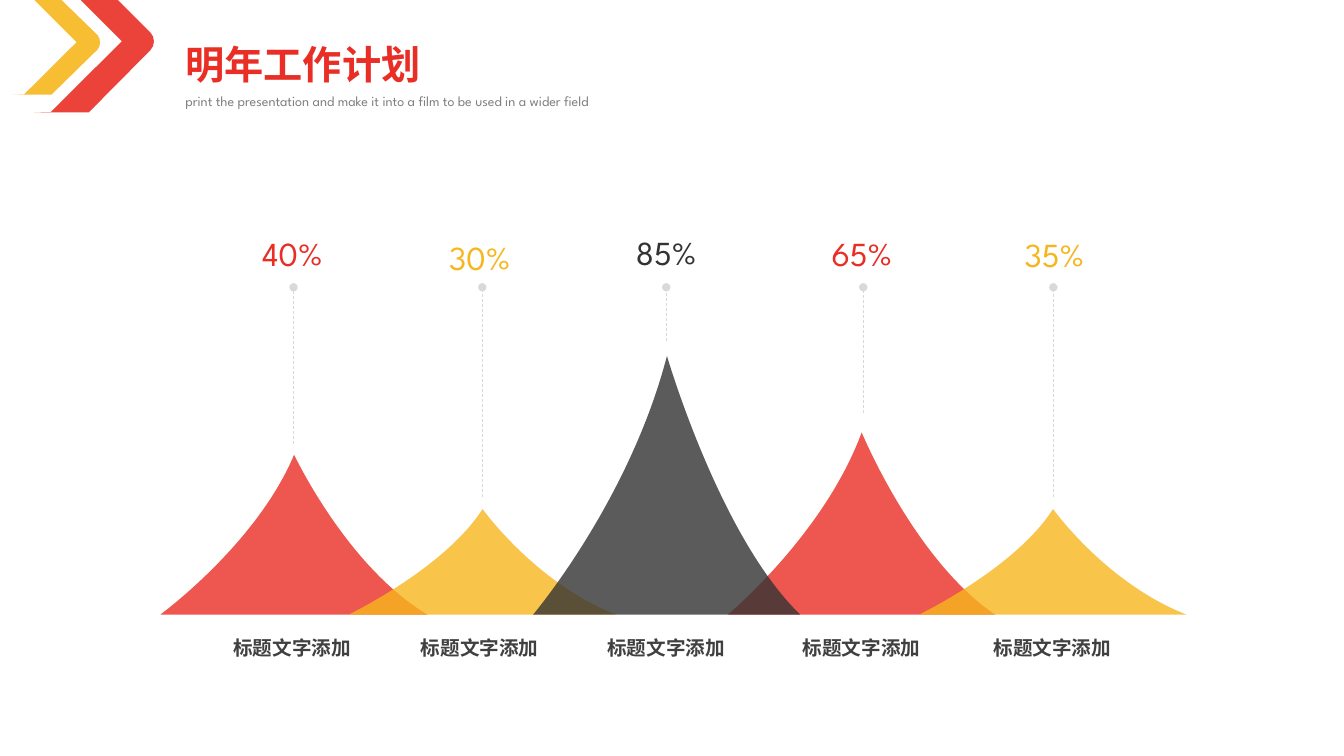
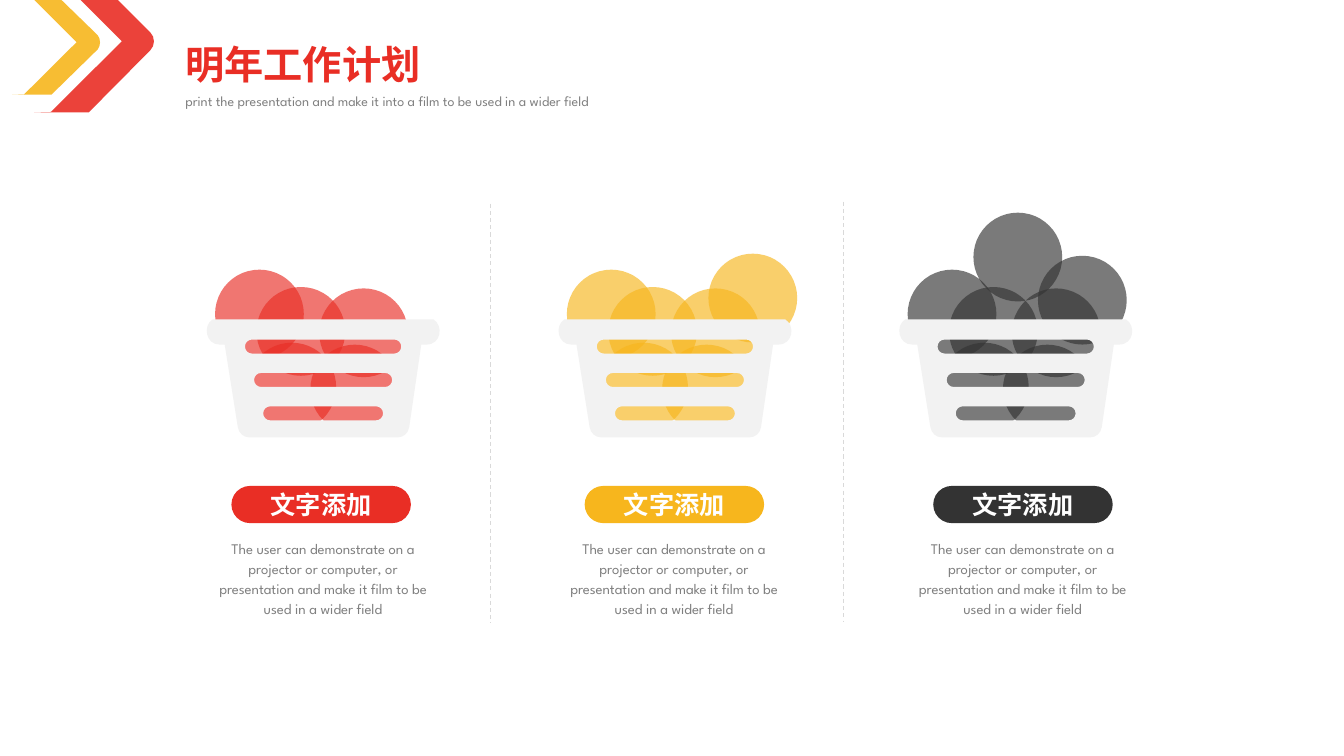
from dataclasses import dataclass

from lxml import etree
from pptx import Presentation
from pptx.dml.color import RGBColor
from pptx.enum.dml import MSO_LINE
from pptx.enum.shapes import MSO_CONNECTOR, MSO_SHAPE
from pptx.enum.text import MSO_ANCHOR, MSO_AUTO_SIZE, PP_ALIGN
from pptx.oxml.ns import qn
from pptx.util import Pt

DASH = MSO_LINE.DASH
LINE = MSO_CONNECTOR.STRAIGHT
OVAL, PILL = MSO_SHAPE.OVAL, MSO_SHAPE.ROUNDED_RECTANGLE
TOP, MID = MSO_ANCHOR.TOP, MSO_ANCHOR.MIDDLE
LEFT, MIDDLE = PP_ALIGN.LEFT, PP_ALIGN.CENTER
FIXED = MSO_AUTO_SIZE.NONE

FONT = "League Spartan"
INK = {
    "red": "E92E25", "gold": "F7B61D", "dark": "333333", "text": "404040",
    "gray": "808080", "rule": "D9D9D9", "pale": "F2F2F2", "white": "FFFFFF",
}
Point = tuple[float, float]
Box = tuple[float, float, float, float]
# A ring is a list of steps: (x, y) is a corner,
# (x1, y1, x2, y2, x, y) a cubic curve to x, y
Ring = list[tuple[float, ...]]


@dataclass
class Peak:
    ink: str
    left: float
    top: float
    rate: str
    rate_at: Point
    stem: Point  # x and lower end
    label: float


@dataclass
class Crate:
    ink: str
    left: float
    pill: float
    note: float
    more: list[Point]


# Slide 1: mountain peaks, back to front
BASE, SPAN, STEM_TOP = 439, 190.8, 205.2
PEAKS = [
    Peak("red", 114.5, 324.8, "40%", (171.4, 170.2), (209.7, 316.8), 136.1),
    Peak("gold", 249.1, 363.6, "30%", (305.3, 173.2), (344.5, 355), 270),
    Peak("red", 519.9, 308.9, "65%", (578.2, 170.2), (616.6, 295.2), 542.8),
    Peak("dark", 380.8, 254.2, "85%", (438.4, 169.9), (475.9, 243.4), 403.2),
    Peak("gold", 656.6, 363.6, "35%", (715.7, 170.9), (752.4, 355), 679),
]

# Slide 2: crates of balls
BALL, RIM = 63.4, 228.2
BALLS = [(8.9, 192.6), (38.5, 205), (83.3, 206), (32, 244.8), (77, 246.2)]
CRATES = [
    Crate("red", 144.7, 165.3, 146.9, []),
    Crate("gold", 396, 417.6, 397.6, [(110, 181.2)]),
    Crate("dark", 639.4, 666.6, 646.6, [(102, 182.7), (55.9, 151.9)]),
]
RULES = [(350.2, 145.4), (602.6, 144)]
NOTE = ("The user can demonstrate on a projector or computer, or "
        "presentation and make it film to be used in a wider field")


def rgb(ink: str) -> RGBColor:
    return RGBColor.from_string(INK[ink])


def paint(shape, ink: str, alpha: int = 100) -> None:
    shape.shadow.inherit = False
    shape.fill.solid()
    shape.fill.fore_color.rgb = rgb(ink)
    shape.line.fill.background()
    if alpha < 100:
        color = shape.element.spPr.find(qn("a:solidFill"))[0]
        etree.SubElement(color, qn("a:alpha"), val=str(alpha * 1000))


def pairs(step: tuple[float, ...], dx: float, dy: float) -> list[Point]:
    return [(Pt(x + dx), Pt(y + dy)) for x, y in zip(step[::2], step[1::2])]


def trace(slide, rings: list[Ring], ink: str, alpha: int = 100,
          dx: float = 0, dy: float = 0) -> None:
    """Closed outline; rings after the first are holes."""
    pen = None
    for ring in rings:
        first = pairs(ring[0], dx, dy)[0]
        if pen is None:
            pen = slide.shapes.build_freeform(*first, scale=1.0)
        else:
            pen.move_to(*first)
        dots = [dot for step in ring[1:] for dot in pairs(step, dx, dy)]
        pen.add_line_segments(dots, close=True)
    shape = pen.convert_to_shape()
    # Join each run of three segments that stands for a curve
    nodes = iter(list(shape.element.spPr.iter(qn("a:lnTo"))))
    for step in (step for ring in rings for step in ring[1:]):
        node = next(nodes)
        if len(step) == 6:
            node.tag = qn("a:cubicBezTo")
            for extra in (next(nodes), next(nodes)):
                extra.getparent().remove(extra)
                node.append(extra[0])
    paint(shape, ink, alpha)


def block(slide, kind, box: Box, ink: str, alpha: int = 100):
    shape = slide.shapes.add_shape(kind, *map(Pt, box))
    paint(shape, ink, alpha)
    return shape


def rule(slide, a: Point, b: Point, width: float, dot: bool = False) -> None:
    line = slide.shapes.add_connector(LINE, *map(Pt, (*a, *b)))
    line.line.color.rgb = rgb("rule")
    line.line.width = Pt(width)
    line.line.dash_style = DASH
    props = line.element.spPr
    if dot:
        etree.SubElement(props.find(qn("a:ln")), qn("a:tailEnd"), type="oval")
    etree.SubElement(props, qn("a:effectLst"))


def write(shape, text: str, *, size: float, ink: str, bold: bool = False,
          align=MIDDLE, anchor=TOP, wrap: bool = True, inset: bool = True,
          space: float = 1.0) -> None:
    frame = shape.text_frame
    frame.auto_size = FIXED
    frame.word_wrap = wrap
    frame.vertical_anchor = anchor
    frame.margin_left = frame.margin_right = Pt(7.2 if inset else 0)
    frame.margin_top = frame.margin_bottom = Pt(3.6 if inset else 0)
    para = frame.paragraphs[0]
    para.alignment = align
    para.line_spacing = space
    run = para.add_run()
    run.text = text
    font = run.font
    font.name, font.size, font.bold = FONT, Pt(size), bold
    font.color.rgb = rgb(ink)
    etree.SubElement(font._element, qn("a:ea"), typeface=FONT)


def label(slide, text: str, box: Box, **form) -> None:
    write(slide.shapes.add_textbox(*map(Pt, box)), text, **form)


def start(deck):
    """New slide with the shared chevrons, title and subtitle."""
    slide = deck.slides.add_slide(deck.slide_layouts[5])
    red = [(24.5, 80.3), (63.4, 80.3), (107.3, 36),
           (110.9, 32.4, 110.9, 26.6, 107.3, 23),
           (84.2, 0), (57.6, 0), (87.1, 29.5), (36.3, 80)]
    gold = [(8.6, 67.7), (36.7, 67.7), (69.8, 35.3),
            (72, 32.4, 72, 28.1, 69.8, 25.2),
            (43.9, 0), (24.5, 0), (54.7, 30.2), (17.3, 67.4)]
    trace(slide, [red], "red", 90)
    trace(slide, [gold], "gold", 90)
    title = slide.shapes.title
    title.left, title.top, title.width, title.height = map(
        Pt, (125.3, 25.2, 330.5, 41))
    write(title, "明年工作计划", size=28, ink="red", bold=True, align=LEFT)
    label(slide, "print the presentation and make it into a film "
          "to be used in a wider field", (125.3, 62.6, 435.6, 19.4),
          size=10, ink="gray", align=LEFT)
    return slide


def draw_peak(slide, peak: Peak) -> None:
    left, top, high = peak.left, peak.top, BASE - peak.top
    tip = (left + 95.6, top)
    ring = [(left, BASE), (left + SPAN, BASE),
            (left + 133.2, BASE - 0.3 * high, *tip, *tip),
            (left + 68.8, top + 0.56 * high, left, BASE, left, BASE)]
    trace(slide, [ring], peak.ink, 80)
    label(slide, peak.rate, (*peak.rate_at, 74.9, 20.9), size=24,
          ink=peak.ink, anchor=MID, wrap=False, inset=False)


def slot(left: float, right: float, y: float) -> Ring:
    """Bar with round ends, 10 high, about the level y."""
    r, k = 5, 2.8
    return [(right, y + r), (left, y + r),
            (left - k, y + r, left - r, y + k, left - r, y),
            (left - r, y - k, left - k, y - r, left, y - r),
            (right, y - r),
            (right + k, y - r, right + r, y - k, right + r, y),
            (right + r, y + k, right + k, y + r, right, y + r)]


def draw_crate(slide, crate: Crate) -> None:
    for x, y in BALLS + crate.more:
        block(slide, OVAL, (crate.left + x, y, BALL, BALL), crate.ink, 65)
    # Basket outline and its three slots
    body = [(164.9, 0), (7.2, 0), (0, 4.3, 2.2, 18, 12.2, 18), (15.8, 18),
            (25.2, 77), (25.9, 81.4, 29.5, 84.2, 33.1, 84.2),
            (139.7, 84.2), (143.3, 84.2, 146.9, 81.4, 147.6, 77),
            (156.2, 18), (159.8, 18), (170.6, 18, 172.1, 4.3, 164.9, 0)]
    slots = [slot(35.3 + 6.5 * i, 136.9 - 6.5 * i, 19.4 + 23.85 * i)
             for i in range(3)]
    trace(slide, [body, *slots], "pale", dx=crate.left, dy=RIM)
    # Caption
    pill = block(slide, PILL, (crate.pill, 347.1, 128.2, 26.6), crate.ink)
    pill.adjustments[0] = 0.5
    write(pill, "文字添加", size=18, ink="white", bold=True,
          anchor=MID, inset=False)
    label(slide, NOTE, (crate.note, 380.2, 167.8, 65.5),
          size=10.5, ink="gray", space=1.14)


def main() -> None:
    deck = Presentation()
    deck.slide_width, deck.slide_height = Pt(960), Pt(540)

    slide = start(deck)
    for peak in PEAKS:
        draw_peak(slide, peak)
    for peak in PEAKS:
        x, low = peak.stem
        rule(slide, (x, low), (x, STEM_TOP), 0.5, dot=True)
        label(slide, "标题文字添加", (peak.label, 450.7, 145.4, 24.5),
              size=14, ink="text", bold=True)

    slide = start(deck)
    for x, y in RULES:
        rule(slide, (x, y), (x, y + 299.5), 0.75)
    for crate in CRATES:
        draw_crate(slide, crate)

    deck.save("out.pptx")


if __name__ == "__main__":
    main()
